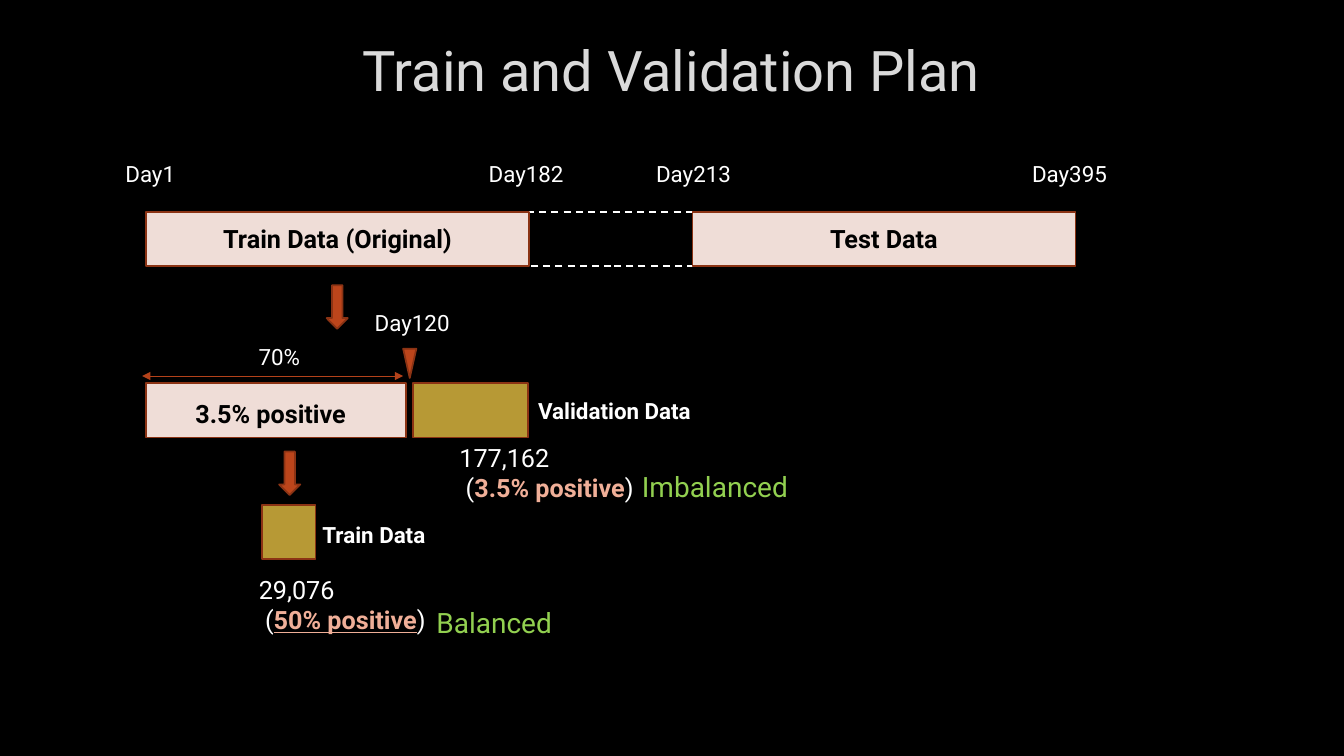
from dataclasses import dataclass

from lxml.etree import SubElement
from pptx import Presentation
from pptx.dml.color import RGBColor
from pptx.enum.dml import MSO_LINE
from pptx.enum.shapes import MSO_CONNECTOR, MSO_SHAPE
from pptx.enum.text import MSO_ANCHOR, PP_ALIGN
from pptx.oxml.ns import qn
from pptx.util import Pt


@dataclass(frozen=True)
class Theme:
    font: str = "Roboto"
    background: str = "000000"
    title: str = "DADADA"
    white: str = "FFFFFF"
    black: str = "000000"
    pale: str = "EFDDD7"
    gold: str = "B79935"
    rust: str = "BC451B"
    border: str = "8B3314"
    span: str = "B4421A"
    accent: str = "F0AF98"
    green: str = "92D050"
    title_size: float = 40
    note_size: float = 20
    body_size: float = 18
    label_size: float = 16
    border_width: float = 1.25
    span_width: float = 0.75


def add_run(p, text, font, size, color, bold=False, underline=False):
    r = p.add_run()
    r.text = text
    r.font.name = font
    r.font.size = Pt(size)
    r.font.color.rgb = RGBColor.from_string(color)
    r.font.bold = bold
    r.font.underline = underline


class Deck:
    def __init__(self, theme):
        self.theme = theme
        self.prs = Presentation()
        self.prs.slide_width = Pt(960)
        self.prs.slide_height = Pt(540)
        self.s = self.prs.slides.add_slide(self.prs.slide_layouts[6])
        fill = self.s.background.fill
        fill.solid()
        fill.fore_color.rgb = RGBColor.from_string(theme.background)

    def text(self, x, y, w, h, *lines, size=None, color=None, bold=False,
             align=PP_ALIGN.LEFT, anchor=MSO_ANCHOR.TOP):
        t = self.theme
        sp = self.s.shapes.add_textbox(Pt(x), Pt(y), Pt(w), Pt(h))
        tf = sp.text_frame
        tf.word_wrap = True
        tf.vertical_anchor = anchor
        for i, line in enumerate(lines):
            p = tf.add_paragraph() if i else tf.paragraphs[0]
            p.alignment = align
            for text, style in [(line, {})] if isinstance(line, str) else line:
                base = {"size": size or t.label_size, "color": color or t.white, "bold": bold}
                add_run(p, text, t.font, **(base | style))

    def shape(self, kind, x, y, w, h, fill=None, line=None, dash=None, text=None):
        t = self.theme
        sp = self.s.shapes.add_shape(kind, Pt(x), Pt(y), Pt(w), Pt(h))
        sp.shadow.inherit = False
        if fill:
            sp.fill.solid()
            sp.fill.fore_color.rgb = RGBColor.from_string(fill)
        else:
            sp.fill.background()
        sp.line.color.rgb = RGBColor.from_string(line or t.border)
        sp.line.width = Pt(t.border_width)
        if dash:
            sp.line.dash_style = dash
        if text:
            tf = sp.text_frame
            tf.vertical_anchor = MSO_ANCHOR.MIDDLE
            p = tf.paragraphs[0]
            p.alignment = PP_ALIGN.CENTER
            add_run(p, text, t.font, t.body_size, t.black, bold=True)

    def bar(self, x, y, w, fill=None, **style):
        self.shape(MSO_SHAPE.RECTANGLE, x, y, w, 38.9, fill, **style)

    def down_arrow(self, x, y):
        self.shape(MSO_SHAPE.DOWN_ARROW, x, y, 15.1, 31, self.theme.rust)

    def span(self, x1, x2, y):
        t = self.theme
        c = self.s.shapes.add_connector(MSO_CONNECTOR.STRAIGHT, Pt(x1), Pt(y), Pt(x2), Pt(y))
        c.line.color.rgb = RGBColor.from_string(t.span)
        c.line.width = Pt(t.span_width)
        ln = c.line._get_or_add_ln()
        for end in ("a:headEnd", "a:tailEnd"):
            SubElement(ln, qn(end), type="triangle")
        SubElement(c._element.spPr, qn("a:effectLst"))

    def count(self, x, y, total, share, underline=False):
        self.text(x, y, 158.4, 51.1, total,
                  [(" (", {}),
                   (share, {"color": self.theme.accent, "bold": True, "underline": underline}),
                   (")", {})],
                  size=self.theme.body_size)


def main():
    t = Theme()
    d = Deck(t)
    d.text(72, 11.5, 815, 76.3, "Train and Validation Plan", size=t.title_size,
           color=t.title, align=PP_ALIGN.CENTER, anchor=MSO_ANCHOR.MIDDLE)

    d.bar(378, 151.2, 117.4, line=t.white, dash=MSO_LINE.DASH)
    for x, name in ((104.4, "Train Data (Original)"), (494.6, "Test Data")):
        d.bar(x, 151.2, 273.6, t.pale, text=name)

    for x, y, label, align in (
        (72, 110.9, "Day1", PP_ALIGN.CENTER),
        (342, 110.9, "Day182", PP_ALIGN.LEFT),
        (460.1, 110.9, "Day213", PP_ALIGN.CENTER),
        (730.1, 110.9, "Day395", PP_ALIGN.LEFT),
        (164.2, 241.9, "70%", PP_ALIGN.CENTER),
        (260.6, 217.4, "Day120", PP_ALIGN.LEFT),
    ):
        d.text(x, y, 70.6, 26.6, label, align=align)

    d.bar(295.2, 273.6, 82.1, t.gold)
    d.bar(104.4, 273.6, 185.8, t.pale)
    d.bar(187.2, 360.7, 38.2, t.gold)
    d.span(101.5, 288, 268.6)
    d.down_arrow(233.3, 203.8)
    d.down_arrow(199.4, 322.6)
    d.shape(MSO_SHAPE.FLOWCHART_MERGE, 288, 249.1, 9.4, 20.9, t.rust)

    d.text(132.5, 280.8, 197.3, 28.8, "3.5% positive", size=t.body_size, color=t.black, bold=True)
    d.count(321.1, 312.5, "177,162", "3.5% positive")
    d.count(177.8, 406.8, "29,076", "50% positive", underline=True)
    for x, y, name in ((377.3, 280.1, "Validation Data"), (223.2, 368.6, "Train Data")):
        d.text(x, y, 131, 26.6, name, bold=True)
    for x, y, note in ((451.4, 331.9, "Imbalanced"), (304.6, 429.1, "Balanced")):
        d.text(x, y, 141.8, 31.7, note, size=t.note_size, color=t.green)

    d.prs.save("out.pptx")


if __name__ == "__main__":
    main()
